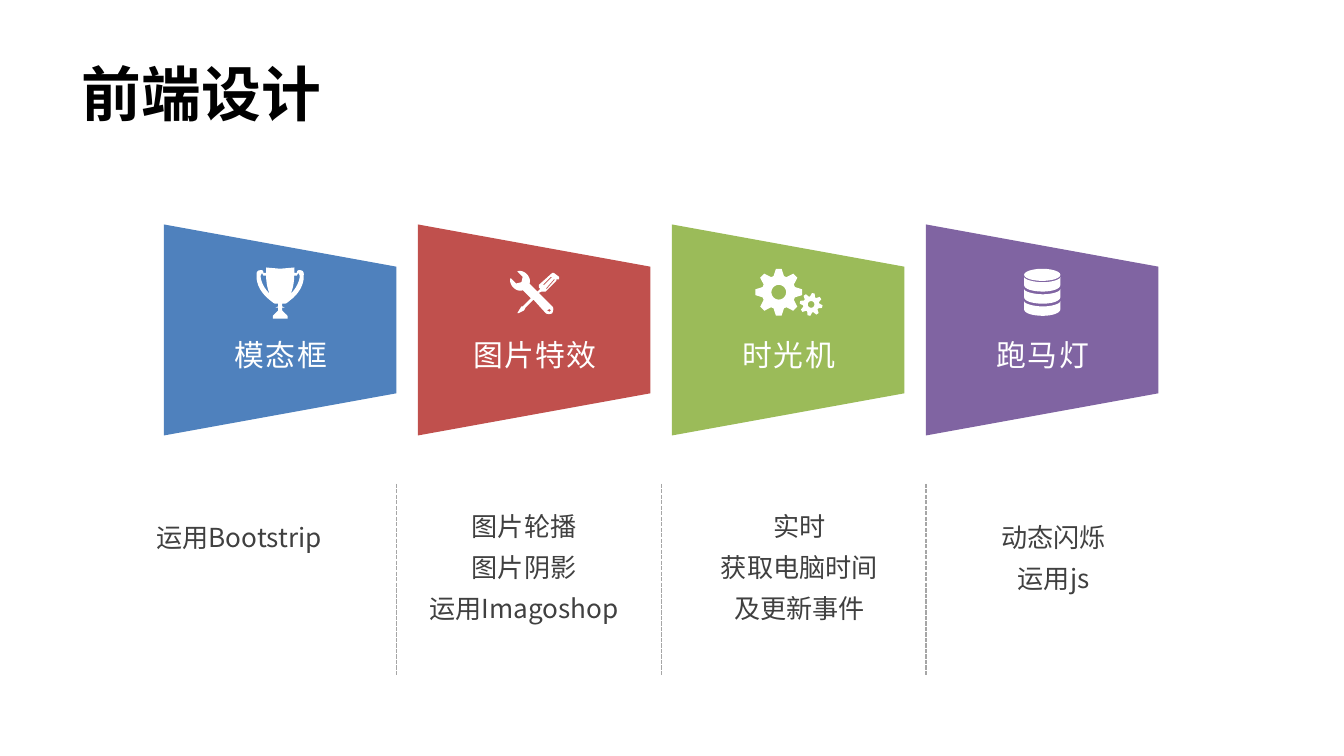
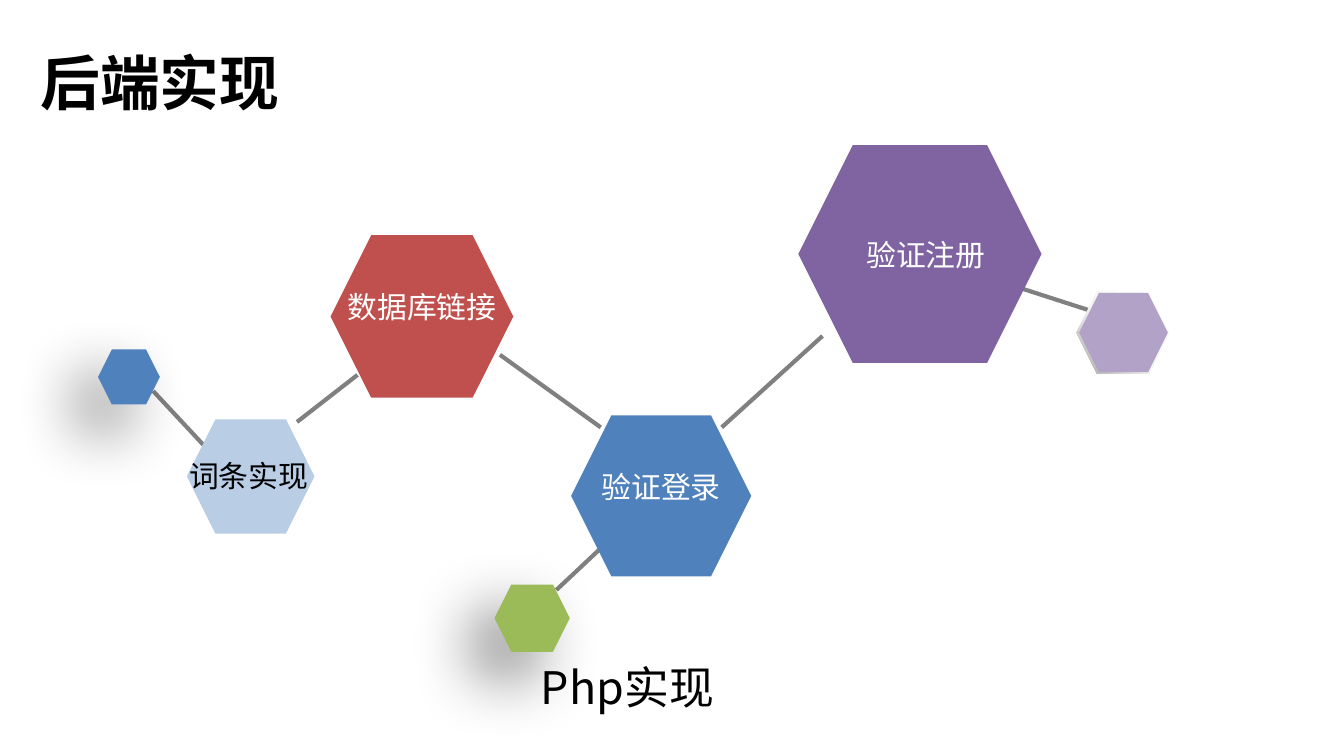
import math

import pptx
import pptx.dml.color
import pptx.enum.dml
import pptx.enum.shapes
import pptx.enum.text
import pptx.oxml.ns
import pptx.util
from lxml import etree

RGB = pptx.dml.color.RGBColor
SHAPE = pptx.enum.shapes.MSO_SHAPE
ALIGN = pptx.enum.text.PP_ALIGN
qn = pptx.oxml.ns.qn

PX = 9144
SLIDE_WIDTH = 1000
FONT, LABEL_FONT = "Noto Sans CJK SC", "Arial"

BLACK = RGB(0x00, 0x00, 0x00)
WHITE = RGB(0xFF, 0xFF, 0xFF)
BLUE = RGB(0x4F, 0x81, 0xBD)
RED = RGB(0xC0, 0x50, 0x4D)
GREEN = RGB(0x9B, 0xBB, 0x59)
PURPLE = RGB(0x80, 0x64, 0xA2)
PALE_BLUE = RGB(0xB9, 0xCD, 0xE5)
PALE_PURPLE = RGB(0xB3, 0xA2, 0xC7)
BODY = RGB(0x40, 0x40, 0x40)
DIVIDER = RGB(0xA6, 0xA6, 0xA6)
LINK = RGB(0x80, 0x80, 0x80)

TITLE = dict(size=32, name=FONT, bold=True, color=BLACK)
LABEL = dict(size=16, name=LABEL_FONT, color=WHITE)
DARK_LABEL = dict(LABEL, color=BLACK)
CAPTION = dict(size=14, name=FONT, color=BODY)
NOTE = dict(size=24, name=FONT, color=BLACK)

FEATURES = [
    ("模态框", BLUE, ["运用Bootstrip"], (91, 376, 174, 68)),
    ("图片特效", RED, ["图片轮播", "图片阴影", "运用Imagoshop"], (303, 368, 174, 98)),
    ("时光机", GREEN, ["实时", "获取电脑时间", "及更新事件"], (508, 368, 174, 98)),
    ("跑马灯", PURPLE, ["动态闪烁", "运用js"], (697, 376, 174, 68)),
]
FEATURE_X, FEATURE_STEP = 130, 189
DIVIDER_X, DIVIDER_STEP = 295, 197

LINKS = [
    (755, 213, 817, 233), (537, 318, 612, 250), (221, 314, 266, 279),
    (372, 264, 447, 318), (114, 291, 211, 395), (414, 439, 447, 408),
]
RIM_STOPS = [(0, "FFFFFF"), (55, "F2F2F2"), (100, "A6A6A6")]
HEXAGONS = [
    ((594, 108, 181, 162), PURPLE, False),
    ((368, 435, 56, 50), GREEN, True),
    ((369, 437, 54, 48), GREEN, False),
    ((246, 175, 136, 121), RED, False),
    ((801, 217, 69, 61), RIM_STOPS, False),
    ((803, 218, 66, 59), PALE_PURPLE, False),
    ((425, 309, 134, 120), BLUE, False),
    ((139, 312, 95, 85), PALE_BLUE, False),
    ((73, 260, 46, 41), BLUE, True),
    ((74, 261, 44, 39), BLUE, False),
]
HEXAGON_LABELS = [
    ("验证注册", (634, 171, 110, 37), LABEL),
    ("验证登录", (437, 344, 110, 37), LABEL),
    ("数据库链接", (248, 210, 132, 37), LABEL),
    ("词条实现", (130, 336, 110, 37), DARK_LABEL),
]

CUP_AXIS_SUM = 417
CUP_HALF = [
    (208, 200), (219, 199), (219, 203), (221, 203), (221, 201, 222, 201, 223, 201),
    (227, 201, 226, 205, 226, 205), (226, 206), (226, 206, 227, 216, 214, 225),
    (213, 226, 212, 226, 210, 226), (210, 228), (212, 229), (210, 229), (210, 231),
    (211, 232), (213, 234), (214, 235), (214, 237), (208, 237),
]
CUP_HANDLE = [
    (219, 205), (221, 205), (222, 203), (223, 205), (223, 206),
    (223, 206, 223, 212, 216, 219), (218, 216, 219, 209, 219, 205),
]
TOOLS = [
    [(416, 206), (412, 203), (411, 203), (410, 204), (401, 212), (401, 214),
     (402, 215), (400, 217), (394, 211), (395, 209, 394, 206, 392, 204),
     (390, 202, 387, 201, 385, 202), (389, 206), (388, 210), (384, 211),
     (380, 207), (379, 209, 380, 212, 382, 214),
     (384, 216, 387, 217, 389, 216), (395, 222), (389, 228), (388, 228),
     (385, 233), (386, 233), (390, 231), (391, 229), (397, 223), (406, 233),
     (407, 234, 410, 234, 411, 233), (412, 231, 412, 229, 411, 228),
     (401, 218), (403, 217), (406, 217), (414, 209), (414, 208), (416, 208)],
    [(409, 230), (410, 231), (409, 232), (407, 231)],
    [(404, 212), (410, 206), (411, 206), (405, 212)],
    [(406, 215), (412, 208), (413, 208), (407, 215)],
]


def px(*lengths):
    return [round(n * PX) for n in lengths]


def write(sp, lines, fmt, align=ALIGN.CENTER, leading=None, spc=None, wrap=True):
    tf = sp.text_frame
    frame = dict(
        word_wrap=wrap, auto_size=pptx.enum.text.MSO_AUTO_SIZE.SHAPE_TO_FIT_TEXT,
        vertical_anchor=pptx.enum.text.MSO_ANCHOR.TOP)
    for key, value in frame.items():
        setattr(tf, key, value)
    for i, line in enumerate(lines):
        p = tf.add_paragraph() if i else tf.paragraphs[0]
        p.alignment = align
        if leading:
            p.line_spacing = leading
        r = p.add_run()
        r.text = line
        for key, value in fmt.items():
            if key == "color":
                r.font.color.rgb = value
            else:
                setattr(r.font, key, pptx.util.Pt(value) if key == "size" else value)
        rPr = r.font._element
        etree.SubElement(rPr, qn("a:ea"), typeface=FONT)
        if spc:
            rPr.set("spc", str(spc))


def add_text(s, lines, at, fmt, **options):
    write(s.shapes.add_textbox(*px(*at)), lines, fmt, **options)


def add_slide(prs, title, at):
    s = prs.slides.add_slide(prs.slide_layouts[5])
    sp = s.shapes.title
    for key, value in zip(("left", "top", "width", "height"), px(*at)):
        setattr(sp, key, value)
    write(sp, [title], TITLE, align=ALIGN.LEFT, wrap=False)
    return s


def paint(sp, fill):
    sp.shadow.inherit = False
    sp.line.fill.background()
    if isinstance(fill, RGB):
        sp.fill.solid()
        sp.fill.fore_color.rgb = fill
        return
    sp.fill.gradient()
    sp.fill.gradient_angle = 225
    stops = sp._element.spPr.find(qn("a:gradFill")).find(qn("a:gsLst"))
    for stop in list(stops):
        stops.remove(stop)
    for pos, color in fill:
        stop = etree.SubElement(stops, qn("a:gs"), pos=str(pos * 1000))
        etree.SubElement(stop, qn("a:srgbClr"), val=color)


def add_shape(s, kind, at, fill):
    sp = s.shapes.add_shape(kind, *px(*at))
    paint(sp, fill)
    return sp


def cast_shadow(sp):
    effects = sp._element.spPr.find(qn("a:effectLst"))
    shadow = etree.SubElement(
        effects, qn("a:outerShdw"), blurRad=str(pptx.util.Pt(35)),
        dist=str(pptx.util.Pt(20)), dir=str(135 * 60000), algn="tr", rotWithShape="0")
    color = etree.SubElement(shadow, qn("a:srgbClr"), val="000000")
    etree.SubElement(color, qn("a:alpha"), val="50000")


def add_line(s, ends, color, width, dash=None):
    c = s.shapes.add_connector(pptx.enum.shapes.MSO_CONNECTOR.STRAIGHT, *px(*ends))
    c.line.color.rgb = color
    c.line.width = pptx.util.Pt(width)
    if dash:
        c.line.dash_style = dash
    etree.SubElement(c._element.spPr, qn("a:effectLst"))


def flatten(steps, n=8):
    points = []
    for step in steps:
        if len(step) == 2:
            points.append(step)
            continue
        curve = [points[-1], step[:2], step[2:4], step[4:]]
        for k in range(1, n + 1):
            t = k / n
            weights = [math.comb(3, j) * t**j * (1 - t)**(3 - j) for j in range(4)]
            points.append(tuple(
                sum(w * q[axis] for w, q in zip(weights, curve)) for axis in (0, 1)))
    return points


def polar(cx, cy, radius, degrees):
    a = math.radians(degrees)
    return cx + radius * math.cos(a), cy + radius * math.sin(a)


def mirror(points):
    return [(CUP_AXIS_SUM - x, y) for x, y in reversed(points)]


def add_icon(s, contours):
    contours = [[px(*q) for q in points] for points in contours]
    fb = s.shapes.build_freeform(*contours[0][0], scale=1.0)
    for i, points in enumerate(contours):
        if i:
            fb.move_to(*points[0])
        fb.add_line_segments(points[1:], close=True)
    paint(fb.convert_to_shape(), WHITE)


def add_cup(s):
    half, handle = flatten(CUP_HALF), flatten(CUP_HANDLE)
    add_icon(s, [half + mirror(half), handle, mirror(handle)])


def add_tools(s):
    add_icon(s, [flatten(steps) for steps in TOOLS])


def add_gears(s):
    for cx, cy, tip, root, hole, turn in [
            (579.5, 217.5, 17.5, 12.6, 5.5, 0), (603.5, 226.5, 8.5, 6, 2.5, 11)]:
        teeth = [polar(cx, cy, radius, turn + 45 * k + a) for k in range(8)
                 for radius, a in [(root, -18), (tip, -7), (tip, 7), (root, 18)]]
        add_icon(s, [teeth, [polar(cx, cy, hole, 15 * k) for k in range(24)]])


def add_database(s):
    for y in (206, 215, 224):
        add_icon(s, [flatten([
            (789, y), (789, y + 2, 783, y + 4, 776, y + 4),
            (769, y + 4, 762, y + 2, 762, y), (762, y + 6),
            (762, y + 9, 768, y + 11, 776, y + 11),
            (783, y + 11, 789, y + 9, 789, y + 6)])])
    add_shape(s, SHAPE.OVAL, (762, 200, 27, 9), WHITE)


def build_frontend(prs):
    s = add_slide(prs, "前端设计", (51, 37, 200, 64))
    for i in range(len(FEATURES) - 1):
        x = DIVIDER_X + DIVIDER_STEP * i
        add_line(s, (x, 360, x, 502), DIVIDER, 0.75,
                 pptx.enum.dml.MSO_LINE.SQUARE_DOT)
    icons = [add_cup, add_tools, add_gears, add_database]
    for i, (name, color, lines, at) in enumerate(FEATURES):
        x = FEATURE_X + FEATURE_STEP * i
        sp = add_shape(s, SHAPE.FLOWCHART_MANUAL_OPERATION, (x, 159, 157, 173), color)
        sp.rotation = 270
        icons[i](s)
        add_text(s, [name], (x + 10, 246, 138, 37), LABEL, spc=80)
        add_text(s, lines, at, CAPTION, leading=1.3)


def build_backend(prs):
    s = add_slide(prs, "后端实现", (20, 29, 200, 64))
    for ends in LINKS:
        add_line(s, ends, LINK, 2.25)
    for at, fill, shadowed in HEXAGONS:
        sp = add_shape(s, SHAPE.HEXAGON, at, fill)
        if shadowed:
            cast_shadow(sp)
    for name, at, fmt in HEXAGON_LABELS:
        add_text(s, [name], at, fmt, wrap=False)
    add_text(s, ["Php实现"], (287, 486, 254, 50), NOTE, align=ALIGN.RIGHT)


def main():
    prs = pptx.Presentation()
    prs.slide_width, prs.slide_height = px(SLIDE_WIDTH, SLIDE_WIDTH * 9 / 16)
    build_frontend(prs)
    build_backend(prs)
    prs.save("out.pptx")


if __name__ == "__main__":
    main()
